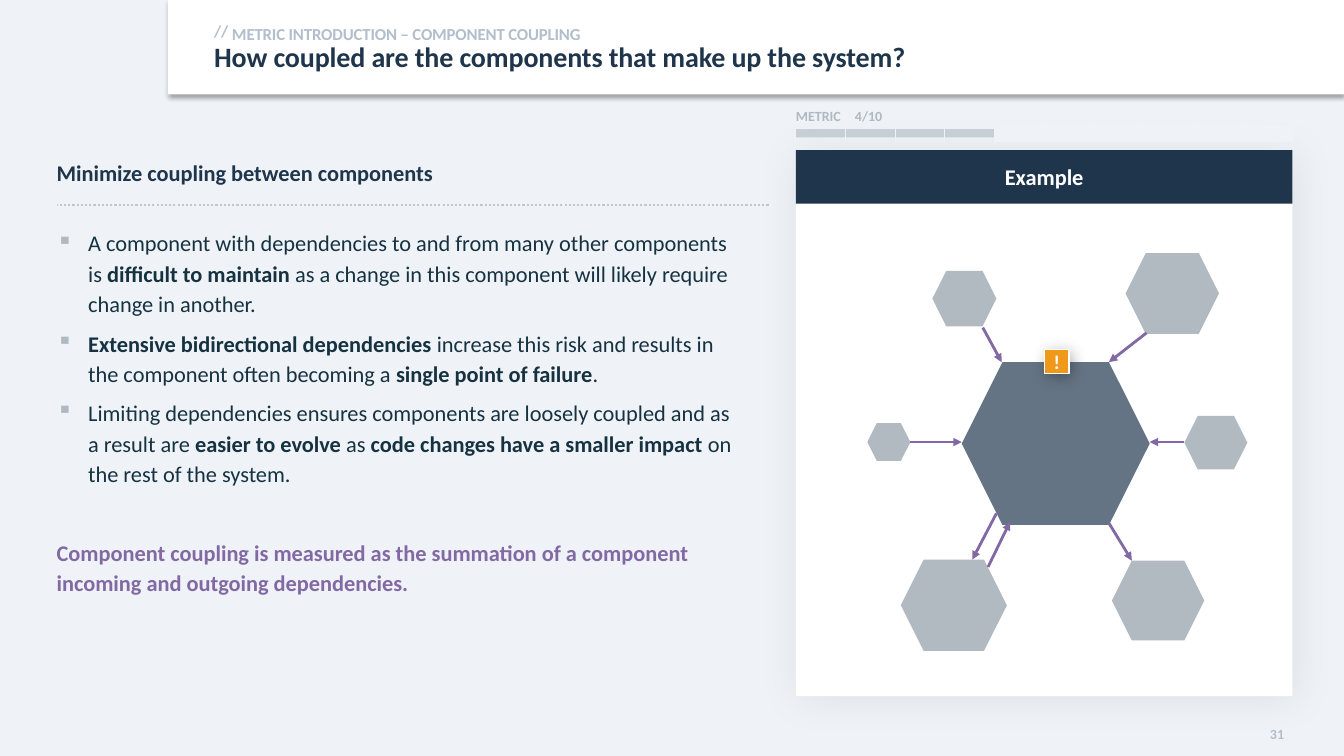
import dataclasses

import pptx
import pptx.dml.color
import pptx.enum.shapes
import pptx.enum.text
import pptx.oxml
import pptx.oxml.ns
import pptx.util

SHAPE = pptx.enum.shapes.MSO_SHAPE
ALIGN = pptx.enum.text.PP_ALIGN
ANCHOR = pptx.enum.text.MSO_ANCHOR
SCALE = 9525


@dataclasses.dataclass(frozen=True)
class Theme:
    """Colours, font and type sizes of the slide."""
    font: str = "Calibri"
    back: str = "EFF3F8"
    white: str = "FFFFFF"
    navy: str = "1F354B"
    ink: str = "163241"
    pale: str = "B2BECD"
    grey: str = "AFB9C2"
    rule: str = "C0C7CF"
    slate: str = "657484"
    purple: str = "8269A4"
    amber: str = "EF981A"
    title: int = 20
    body: int = 16
    badge: int = 14
    label: int = 12
    small: int = 10


THEME = Theme()
POINTS = (
    "A component with dependencies to and from many other components is "
    "*difficult to maintain *as a change in this component will likely require "
    "change in another.",
    "*Extensive bidirectional dependencies *increase this risk and results in "
    "the component often becoming a *single point of failure*.",
    "Limiting dependencies ensures components are loosely coupled and as a "
    "result are *easier to evolve* as *code changes have a smaller impact* on "
    "the rest of the system.",
)
CLAIM = ("Component coupling is measured as the summation of a component "
         "incoming and outgoing dependencies.")
HEXES = (
    (888, 258, 61, 53), (1059, 534, 88, 76), (858, 533, 101, 87),
    (826, 403, 41, 36), (1072, 241, 89, 77), (1128, 396, 60, 51),
)
ARROWS = (
    (936, 312, 954, 345), (867, 421, 916, 421), (949, 489, 926, 533),
    (1056, 498, 1078, 534), (1092, 317, 1056, 345), (1128, 421, 1095, 421),
    (941, 540, 962, 497),
)


def px(*sizes):
    """Turn px lengths into EMU."""
    return [pptx.util.Emu(size * SCALE) for size in sizes]


def rgb(code):
    """Turn a hex code into a colour."""
    return pptx.dml.color.RGBColor.from_string(code)


def node(xml):
    """Parse a fragment in the drawing namespace."""
    head, tail = xml.split(">", 1)
    slash = "/" if head.endswith("/") else ""
    space = pptx.oxml.ns.nsdecls("a")
    return pptx.oxml.parse_xml(f"{head.rstrip('/')} {space}{slash}>{tail}")


def shade(shape, alpha, blur):
    """Cast a soft shadow to the lower right."""
    shape._element.spPr.append(node(
        f'<a:effectLst><a:outerShdw blurRad="{blur * 12700}" dist="38100" '
        f'dir="2700000" algn="tl" rotWithShape="0"><a:srgbClr val="000000">'
        f'<a:alpha val="{alpha * 1000}"/></a:srgbClr></a:outerShdw></a:effectLst>'))


def block(slide, box, fill, kind=SHAPE.RECTANGLE, alpha=None):
    """Add a filled preset shape without outline."""
    shape = slide.shapes.add_shape(kind, *px(*box))
    shape.fill.solid()
    shape.fill.fore_color.rgb = rgb(fill)
    shape.line.fill.background()
    if alpha:
        color = shape._element.spPr.find(".//" + pptx.oxml.ns.qn("a:srgbClr"))
        color.append(node(f'<a:alpha val="{alpha * 1000}"/>'))
    return shape


def line(slide, ends, color, width):
    """Add a straight connector without shadow."""
    link = slide.shapes.add_connector(
        pptx.enum.shapes.MSO_CONNECTOR.STRAIGHT, *px(*ends))
    link.line.color.rgb = rgb(color)
    link.line.width = pptx.util.Pt(width)
    link._element.spPr.append(node("<a:effectLst/>"))
    return link


def arrow(slide, ends):
    """Add a dependency arrow."""
    link = line(slide, ends, THEME.purple, 2)
    link.line._get_or_add_ln().append(node('<a:tailEnd type="triangle"/>'))


def frame(shape, inset=(0, 0, 0, 0), anchor=ANCHOR.TOP, wrap=True):
    """Set insets, anchor and wrapping of a text frame."""
    text = shape.text_frame
    (text.margin_left, text.margin_top,
     text.margin_right, text.margin_bottom) = px(*inset)
    text.vertical_anchor = anchor
    text.word_wrap = wrap
    return text


def style(para, size, color, bold=True, space=None):
    """Format every run of a paragraph."""
    for run in para.runs:
        run.font.name = THEME.font
        run.font.size = pptx.util.Pt(size)
        run.font.color.rgb = rgb(color)
        run.font.bold = bold
        if space:
            run._r.get_or_add_rPr().set("spc", str(space))


def pace(para, lead=1.14, after=6):
    """Set line spacing and the space after a paragraph."""
    para.line_spacing = lead
    para.space_after = pptx.util.Pt(after)


def label(slide, box, text, size, color, space=None, **look):
    """Add a text box with one bold paragraph."""
    shape = slide.shapes.add_textbox(*px(*box))
    para = frame(shape, **look).paragraphs[0]
    para.text = text
    style(para, size, color, space=space)
    return para


def bullet(para, text):
    """Fill a bulleted paragraph, with bold parts between stars."""
    props = para._p.get_or_add_pPr()
    indent = px(30)[0]
    props.set("marL", str(indent))
    props.set("indent", str(-indent))
    pace(para)
    props.append(node(f'<a:buClr><a:srgbClr val="{THEME.grey}"/></a:buClr>'))
    props.append(node('<a:buChar char="▪"/>'))
    parts = text.split("*")
    for part in parts:
        para.add_run().text = part
    style(para, THEME.body, THEME.ink, bold=False)
    for run in para.runs[1::2]:
        run.font.bold = True
    for run in para.runs:
        if not run.text:
            para._p.remove(run._r)


def points(slide):
    """Add the bullet list and the closing claim."""
    text = frame(slide.shapes.add_textbox(*px(54, 210, 645, 419)), (0, 5, 0, 5))
    for i, point in enumerate(POINTS):
        bullet(text.add_paragraph() if i else text.paragraphs[0], point)
    claim = text.add_paragraph()
    claim.text = CLAIM
    claim.space_before = pptx.util.Pt(28)
    pace(claim)
    style(claim, THEME.body, THEME.purple)


def border(cell):
    """Set thin side borders and no rules above or below."""
    props = cell._tc.get_or_add_tcPr()
    paint = f'<a:solidFill><a:srgbClr val="{THEME.back}"/></a:solidFill>'
    edges = {"L": paint, "R": paint, "T": "<a:noFill/>", "B": "<a:noFill/>"}
    for i, (side, fill) in enumerate(edges.items()):
        props.insert(i, node(f'<a:ln{side} w="12700">{fill}</a:ln{side}>'))


def meter(slide, done=4, total=10):
    """Add the progress table above the example panel."""
    table = slide.shapes.add_table(2, total, *px(758, 103, 473, 32)).table
    table.first_row = table.horz_banding = False
    for col in table.columns:
        col.width = px(473)[0] // total
    for r, row in enumerate(table.rows):
        row.height = px(16)[0]
        for c, cell in enumerate(row.cells):
            (cell.margin_left, cell.margin_top,
             cell.margin_right, cell.margin_bottom) = px(0, 0, 0, 0)
            if r and c >= done:
                cell.fill.solid()
                cell.fill.fore_color.rgb = rgb(THEME.back)
            else:
                cell.fill.background()
            border(cell)
            para = cell.text_frame.paragraphs[0]
            para._p.append(node(f'<a:endParaRPr sz="{THEME.small * 100}"/>'))
    table.cell(0, 1).merge(table.cell(0, 2))
    table.cell(0, 1).margin_left = px(9)[0]
    for c, text in enumerate(("METRIC", f"{done}/{total}")):
        para = table.cell(0, c).text_frame.paragraphs[0]
        para.text = text
        style(para, THEME.small, THEME.grey)


def header(slide):
    """Add the top band, its label and the title."""
    block(slide, (0, 0, 1280, 720), THEME.back)
    block(slide, (160, 0, 1120, 90), THEME.white)
    label(slide, (194, 15, 36, 29), "//", THEME.label, THEME.pale, -10,
          inset=(10, 5, 10, 5), anchor=ANCHOR.MIDDLE)
    pace(label(slide, (221, 18, 1012, 23),
               "METRIC INTRODUCTION – COMPONENT COUPLING",
               THEME.label, THEME.pale, -10, inset=(0, 2, 10, 0)))
    title = slide.shapes.title
    slide.shapes._spTree.append(title._element)
    title.left, title.top, title.width, title.height = px(204, 41, 1030, 30)
    para = frame(title).paragraphs[0]
    para.text = "How coupled are the components that make up the system?"
    para.alignment = ALIGN.LEFT
    para.line_spacing = 0.9
    style(para, THEME.title, THEME.navy, space=-10)


def tag(slide, box, text, size, fill, **look):
    """Add a filled box with centred bold text."""
    shape = block(slide, box, fill)
    shape.shadow.inherit = False
    para = frame(shape, **look).paragraphs[0]
    para.text = text
    para.alignment = ALIGN.CENTER
    style(para, size, THEME.white)
    return shape


def example(slide):
    """Add the panel with the coupling diagram."""
    shade(block(slide, (758, 143, 473, 520), THEME.white), 7, 30)
    tag(slide, (758, 143, 473, 51), "Example", THEME.body, THEME.navy,
        inset=(0, 8, 0, 8), anchor=ANCHOR.MIDDLE)
    block(slide, (916, 345, 179, 155), THEME.slate,
          SHAPE.HEXAGON).shadow.inherit = False
    for box in HEXES:
        block(slide, box, THEME.slate, SHAPE.HEXAGON, 50).shadow.inherit = False
    for ends in ARROWS:
        arrow(slide, ends)
    badge = tag(slide, (995, 333, 23, 23), "!", THEME.badge, THEME.amber)
    badge.line.color.rgb = rgb(THEME.white)
    badge.line.width = pptx.util.Pt(1)
    badge._element.spPr.remove(
        badge._element.spPr.find(pptx.oxml.ns.qn("a:effectLst")))
    shade(badge, 30, 11)


def main():
    """Build and save the slide."""
    deck = pptx.Presentation()
    deck.slide_width, deck.slide_height = px(1280, 720)
    slide = deck.slides.add_slide(deck.slide_layouts[5])
    header(slide)
    pace(label(slide, (54, 143, 681, 51), "Minimize coupling between components",
               THEME.body, THEME.navy, inset=(0, 5, 0, 5)))
    rule = line(slide, (732, 195, 54, 195), THEME.rule, 1.5)
    rule.line.dash_style = pptx.enum.dml.MSO_LINE.ROUND_DOT
    points(slide)
    example(slide)
    block(slide, (758, 123, 473, 8), THEME.grey, alpha=60).shadow.inherit = False
    meter(slide)
    page = label(slide, (1207, 687, 26, 25), "31", THEME.small, THEME.pale, 10,
                 inset=(0, 4, 10, 5), anchor=ANCHOR.MIDDLE, wrap=False)
    page.alignment = ALIGN.RIGHT
    deck.save("out.pptx")


if __name__ == "__main__":
    main()
